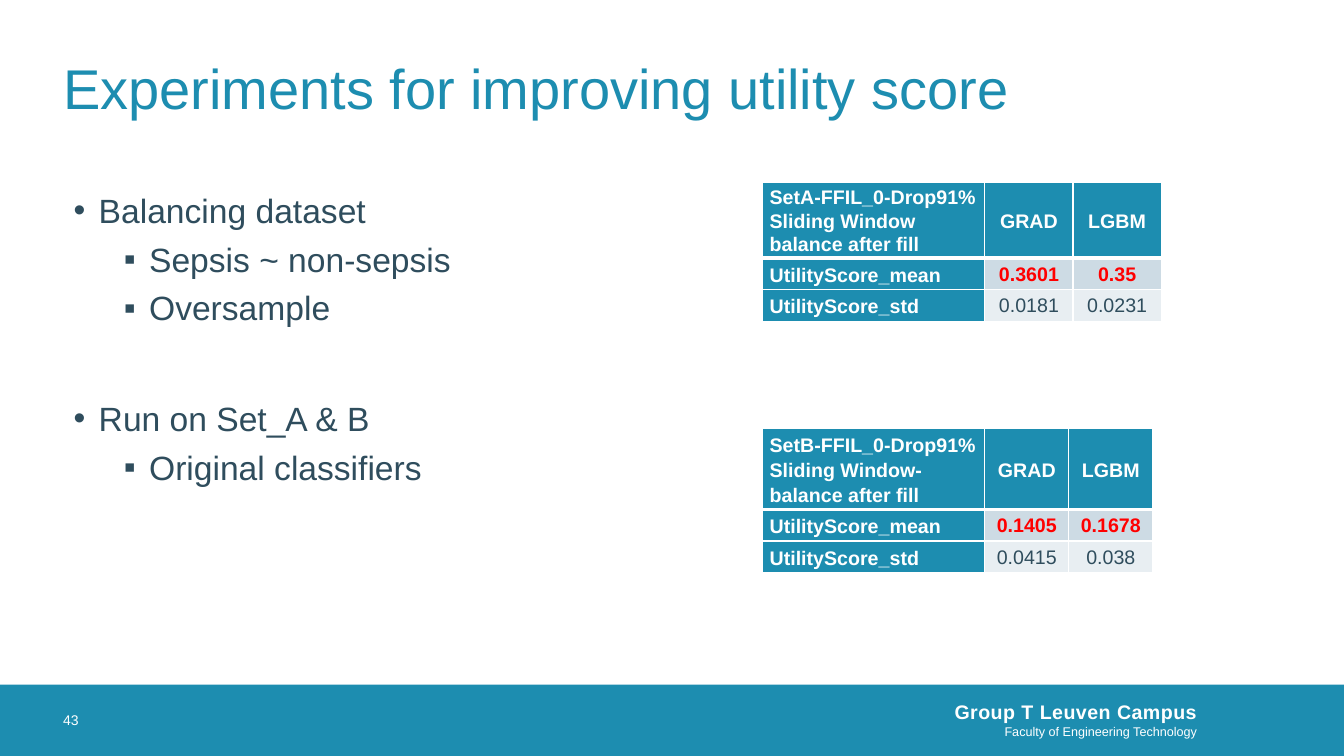
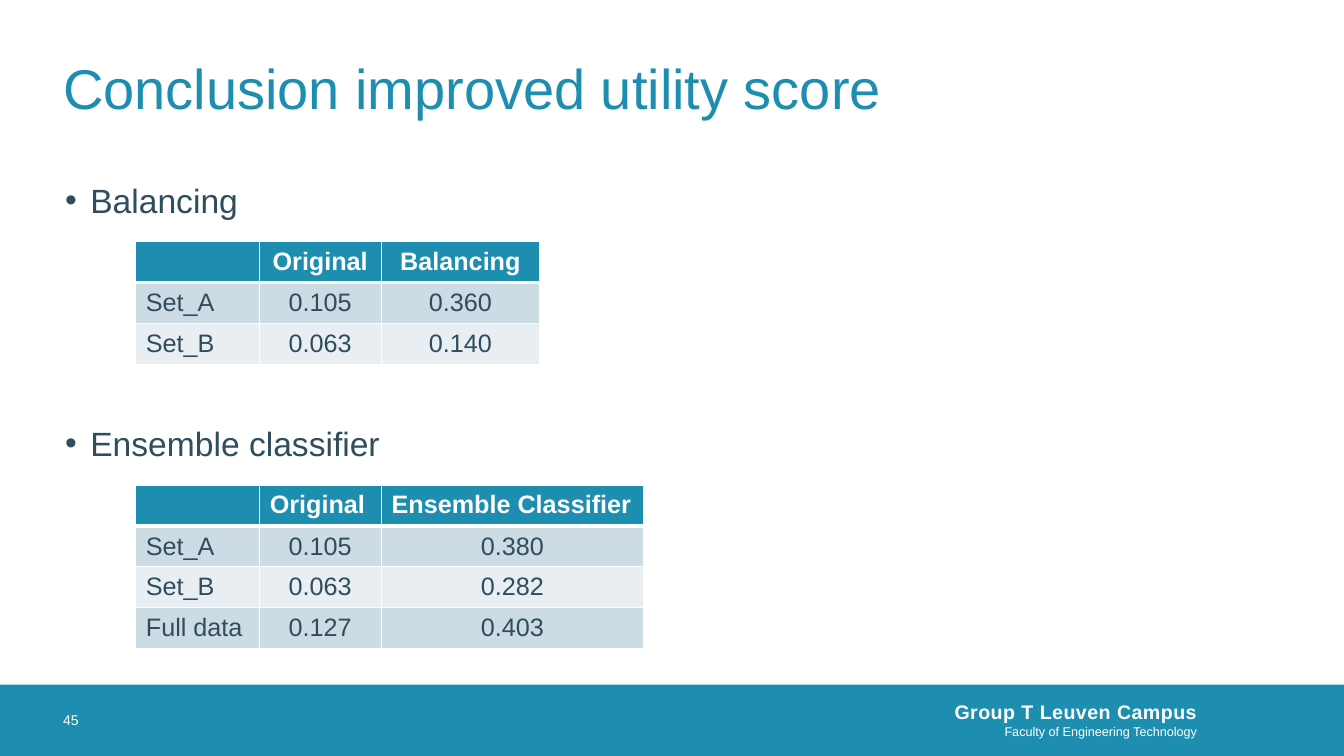
from lxml.etree import SubElement
from pptx import Presentation
from pptx.dml.color import RGBColor
from pptx.enum.shapes import MSO_SHAPE as SHAPE
from pptx.enum.text import MSO_ANCHOR as ANCHOR, PP_ALIGN as ALIGN
from pptx.oxml.ns import qn
from pptx.util import Pt

PX = 9525
FONT = "Arial"
TEAL, SLATE, WHITE, RED = "1D8DB0", "2F4D5D", "FFFFFF", "FF0000"
STRIPES = ["CDDBE4", "E8EEF2"]
rgb = RGBColor.from_string


def add_span(para, text, size, color, bold=False):
    """Append a run; a line feed in the text becomes a line break."""
    for number, line in enumerate(text.split("\n")):
        if number:
            para.add_line_break()
        span = para.add_run()
        span.text = line
        span.font.name, span.font.size, span.font.bold = FONT, Pt(size), bold
        span.font.color.rgb = rgb(color)
    return span


def add_frame(page, left, top, width, height, anchor=ANCHOR.MIDDLE, insets=(0, 0, 0, 0)):
    """Add a wrapping text box and return its text frame."""
    box = page.shapes.add_textbox(left * PX, top * PX, width * PX, height * PX)
    frame = box.text_frame
    frame.word_wrap = True
    frame.vertical_anchor = anchor
    (frame.margin_left, frame.margin_top,
     frame.margin_right, frame.margin_bottom) = [inset * PX for inset in insets]
    return frame


# Bullets: (level, space before in points, text)
# Tables: place, column and row sizes, cell style and rows of text
score_style = dict(size=14, insets=(7, 0, 7, 0), side_fill=TEAL, side_color=WHITE,
                   side_bold=True, highlight_row=1, header_align=ALIGN.CENTER,
                   header_anchor=ANCHOR.MIDDLE)
summary_style = dict(size=18, insets=(10, 5, 10, 5), side_fill=None, side_color=SLATE,
                     side_bold=False, highlight_row=None, side_spacing=1,
                     header_spacing=1, value_spacing=1)
slides = [
    dict(
        number="43", title="Experiments for improving utility score",
        body=(60, 174), spacing=1.04,
        bullets=[(0, 0, "Balancing dataset"), (1, 5, "Sepsis ~ non-sepsis"),
                 (1, 5, "Oversample"), (0, 49, "Run on Set_A & B"),
                 (1, 5, "Original classifiers")],
        tables=[
            dict(score_style, at=(726, 174), columns=[212, 84, 84], heights=[70, 30, 30],
                 header_spacing=1.07, side_spacing=1.15, value_spacing=1.07,
                 rows=[["SetA-FFIL_0-Drop91% Sliding Window\nbalance after fill", "GRAD", "LGBM"],
                       ["UtilityScore_mean", "0.3601", "0.35"],
                       ["UtilityScore_std", "0.0181", "0.0231"]]),
            dict(score_style, at=(726, 408), columns=[212, 80, 80], heights=[72, 30, 30],
                 header_spacing=1.15, side_spacing=1.15, value_spacing=1.07,
                 rows=[["SetB-FFIL_0-Drop91% Sliding Window-balance after fill", "GRAD", "LGBM"],
                       ["UtilityScore_mean", "0.1405", "0.1678"],
                       ["UtilityScore_std", "0.0415", "0.038"]]),
        ]),
    dict(
        number="45", title="Conclusion improved utility score",
        body=(52, 159), spacing=1.19,
        bullets=[(0, 0, "Balancing"), (0, 139, "Ensemble classifier")],
        tables=[
            dict(summary_style, at=(129, 230), columns=[118, 116, 151], heights=[39] * 3,
                 header_align=ALIGN.CENTER, header_anchor=ANCHOR.MIDDLE,
                 rows=[["", "Original", "Balancing"],
                       ["Set_A", "0.105", "0.360"],
                       ["Set_B", "0.063", "0.140"]]),
            dict(summary_style, at=(129, 462), columns=[118, 116, 250], heights=[37] + [39] * 3,
                 header_align=ALIGN.LEFT, header_anchor=ANCHOR.TOP,
                 rows=[["", "Original", "Ensemble Classifier"],
                       ["Set_A", "0.105", "0.380"],
                       ["Set_B", "0.063", "0.282"],
                       ["Full data", "0.127", "0.403"]]),
        ]),
]

deck = Presentation()
deck.slide_width, deck.slide_height = 1280 * PX, 720 * PX

for content in slides:
    page = deck.slides.add_slide(deck.slide_layouts[6])

    # Footer band
    band = page.shapes.add_shape(SHAPE.RECTANGLE, 0, 652 * PX, 1280 * PX, 68 * PX)
    band.shadow.inherit = False
    band.fill.solid()
    band.fill.fore_color.rgb = rgb(TEAL)
    band.line.fill.background()

    campus = add_frame(page, 548, 650, 611, 70, insets=(0, 0, 19, 0))
    para = campus.paragraphs[0]
    span = add_span(para, "Group T Leuven Campus", 14, WHITE, True)
    span.font._element.set("spc", "30")
    add_span(campus.add_paragraph(), "Faculty of Engineering Technology", 9, WHITE)
    for para in campus.paragraphs:
        para.alignment = ALIGN.RIGHT

    page_number = add_frame(page, 60, 652, 68, 68)
    add_span(page_number.paragraphs[0], content["number"], 10, WHITE)

    title = add_frame(page, 60, 22, 1159, 121)
    add_span(title.paragraphs[0], content["title"], 40, TEAL)

    # Bulleted body
    body = add_frame(page, *content["body"], 1159, 468, ANCHOR.TOP, (10, 5, 10, 5))
    for index, (level, before, text) in enumerate(content["bullets"]):
        para = body.add_paragraph() if index else body.paragraphs[0]
        para.level = level
        para.line_spacing = content["spacing"]
        para.space_before = Pt(before)
        props = para._p.get_or_add_pPr()
        props.set("marL", str((24 + 48 * level) * PX))
        props.set("indent", str(-24 * PX))
        SubElement(props, qn("a:buFont"), typeface=FONT)
        SubElement(props, qn("a:buChar"), char="•▪"[level])
        add_span(para, text, 24, SLATE)

    # Tables
    for spec_sheet in content["tables"]:
        rows, columns = spec_sheet["rows"], spec_sheet["columns"]
        heights, insets = spec_sheet["heights"], spec_sheet["insets"]
        left, top = spec_sheet["at"]
        table = page.shapes.add_table(len(rows), len(columns), left * PX, top * PX,
                                      sum(columns) * PX, sum(heights) * PX).table
        for column, width in zip(table.columns, columns):
            column.width = width * PX
        for row, height in zip(table.rows, heights):
            row.height = height * PX

        for r, texts in enumerate(rows):
            for c, text in enumerate(texts):
                cell = table.cell(r, c)
                (cell.margin_left, cell.margin_top,
                 cell.margin_right, cell.margin_bottom) = [inset * PX for inset in insets]
                fill = STRIPES[(r - 1) % 2]
                color, bold = SLATE, False
                align, anchor = ALIGN.CENTER, ANCHOR.MIDDLE
                spacing = spec_sheet["value_spacing"]
                if r == 0:
                    fill, color, bold = TEAL, WHITE, True
                    align, anchor = spec_sheet["header_align"], spec_sheet["header_anchor"]
                    spacing = spec_sheet["header_spacing"]
                elif c == 0:
                    fill = spec_sheet["side_fill"] or fill
                    color, bold = spec_sheet["side_color"], spec_sheet["side_bold"]
                    spacing = spec_sheet["side_spacing"]
                elif r == spec_sheet["highlight_row"]:
                    color, bold = RED, True
                if c == 0:
                    align = ALIGN.LEFT
                cell.vertical_anchor = anchor

                props = cell._tc.get_or_add_tcPr()
                for side in "LRTB":
                    heavy = (r, side) in [(0, "B"), (1, "T")]
                    line = SubElement(props, qn("a:ln" + side), w=str(Pt(3 if heavy else 1)))
                    SubElement(SubElement(line, qn("a:solidFill")), qn("a:srgbClr"), val=WHITE)
                cell.fill.solid()
                cell.fill.fore_color.rgb = rgb(fill)

                para = cell.text_frame.paragraphs[0]
                para.alignment = align
                para.line_spacing = spacing
                if text:
                    add_span(para, text, spec_sheet["size"], color, bold)

deck.save("out.pptx")
